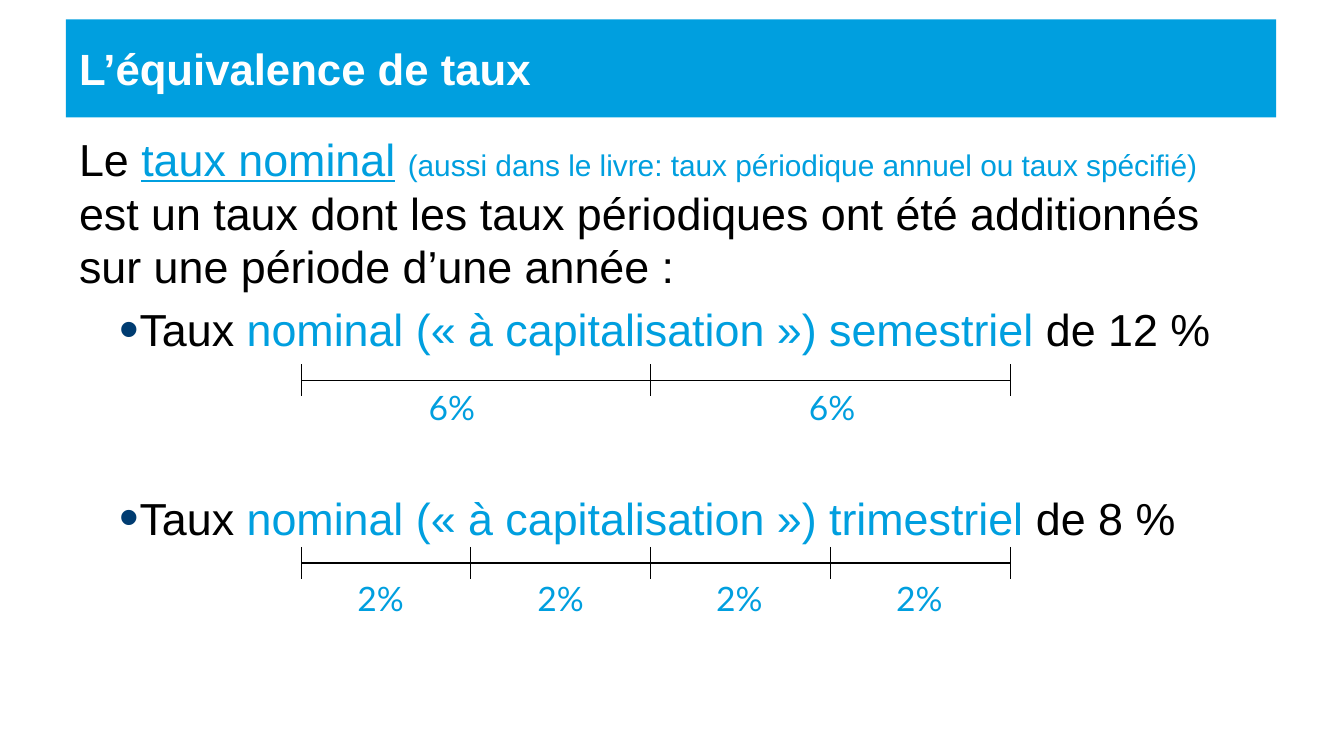
from dataclasses import dataclass

from lxml.etree import SubElement
from pptx import Presentation
from pptx.dml.color import RGBColor
from pptx.enum.shapes import MSO_CONNECTOR, MSO_SHAPE
from pptx.enum.text import MSO_ANCHOR, MSO_AUTO_SIZE, PP_ALIGN
from pptx.oxml.ns import qn
from pptx.util import Pt

EMU_PER_PX = 4572  # 200 px to the inch


@dataclass(frozen=True)
class Theme:
    blue: str = "009FDF"
    navy: str = "003C71"
    black: str = "000000"
    white: str = "FFFFFF"
    text_font: str = "Arial"
    label_font: str = "Lato"
    title_size: float = 23.4
    body_size: float = 24
    note_size: float = 16
    label_size: float = 18
    line_width: float = 0.75


THEME = Theme()


def px(length):
    return length * EMU_PER_PX


def add_span(para, text, color, size=THEME.body_size, name=THEME.text_font,
             bold=False, underline=False):
    span = para.add_run()
    span.text = text
    font = span.font
    font.name, font.size = name, Pt(size)
    font.bold, font.underline = bold, underline
    font.color.rgb = RGBColor.from_string(color)


def add_title(page, text):
    banner = page.shapes.add_shape(MSO_SHAPE.RECTANGLE, px(98), px(29), px(1801), px(146))
    banner.shadow.inherit = False
    banner.fill.solid()
    banner.fill.fore_color.rgb = RGBColor.from_string(THEME.blue)
    banner.line.fill.background()
    banner.text_frame.vertical_anchor = MSO_ANCHOR.MIDDLE
    para = banner.text_frame.paragraphs[0]
    para.alignment = PP_ALIGN.LEFT
    add_span(para, text, THEME.white, THEME.title_size, bold=True)


def add_bullet(frame, rate, percent, space_before):
    para = frame.add_paragraph()
    para.level = 1
    para.space_before = Pt(space_before)
    properties = para._p.get_or_add_pPr()
    properties.set("marL", str(px(90)))
    properties.set("indent", str(px(-30)))
    color = SubElement(properties, qn("a:buClr"))
    SubElement(color, qn("a:srgbClr"), val=THEME.navy)
    SubElement(properties, qn("a:buSzPct"), val="125000")
    SubElement(properties, qn("a:buFont"), typeface=THEME.text_font)
    SubElement(properties, qn("a:buChar"), char="•")
    add_span(para, "Taux ", THEME.black)
    add_span(para, f"nominal (« à capitalisation ») {rate} ", THEME.blue)
    add_span(para, f"de {percent} %", THEME.black)


def add_body(page):
    box = page.shapes.add_textbox(px(98), px(186), px(1780), px(838))
    frame = box.text_frame
    frame.word_wrap = True
    # Definition
    para = frame.paragraphs[0]
    add_span(para, "Le ", THEME.black)
    add_span(para, "taux nominal", THEME.blue, underline=True)
    add_span(para, " ", THEME.blue)
    add_span(para, "(aussi dans le livre: taux périodique annuel ou taux spécifié) ",
             THEME.blue, THEME.note_size)
    para.add_line_break()
    add_span(para, "est un taux dont les taux périodiques ont été additionnés "
             "sur une période d’une année :", THEME.black)
    # Examples, with room for a timeline after the first
    add_bullet(frame, "semestriel", 12, 4.8)
    add_bullet(frame, "trimestriel", 8, 72.4)


def add_line(group, x1, y1, x2, y2):
    line = group.shapes.add_connector(MSO_CONNECTOR.STRAIGHT, px(x1), px(y1), px(x2), px(y2))
    line.line.color.rgb = RGBColor.from_string(THEME.black)
    line.line.width = Pt(THEME.line_width)
    SubElement(line._element.spPr, qn("a:effectLst"))


def add_label(group, text, left, top):
    box = group.shapes.add_textbox(px(left), px(top), px(118), px(80))
    box.text_frame.word_wrap = False
    box.text_frame.auto_size = MSO_AUTO_SIZE.SHAPE_TO_FIT_TEXT
    add_span(box.text_frame.paragraphs[0], text, THEME.blue,
             THEME.label_size, THEME.label_font)


def add_timeline(page, axis, ticks, label, label_lefts, label_top):
    group = page.shapes.add_group_shape()
    add_line(group, ticks[0], axis, ticks[-1], axis)
    for tick in ticks:
        add_line(group, tick, axis - 24, tick, axis + 24)
    for left in label_lefts:
        add_label(group, label, left, label_top)


def main():
    deck = Presentation()
    deck.slide_width, deck.slide_height = px(2000), px(1125)
    page = deck.slides.add_slide(deck.slide_layouts[6])
    add_title(page, "L’équivalence de taux")
    add_body(page)
    # Half-year and quarter timelines
    add_timeline(page, 566, (449, 968, 1504), "6%", (618, 1184), 566)
    add_timeline(page, 838, (449, 700, 968, 1236, 1504), "2%", (512, 780, 1046, 1314), 850)
    deck.save("out.pptx")


if __name__ == "__main__":
    main()
